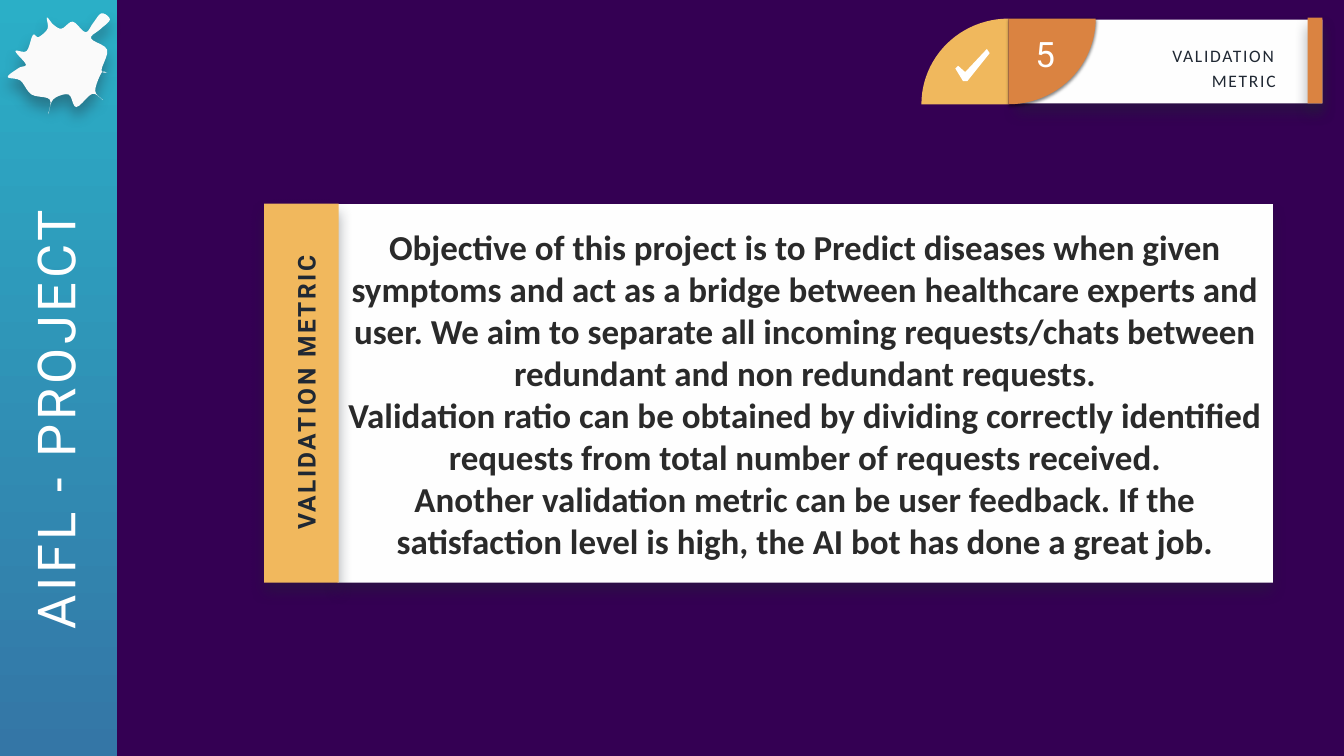
from math import cos, pi, sin

from lxml import etree
from pptx import Presentation
from pptx.dml.color import RGBColor
from pptx.enum.shapes import MSO_SHAPE
from pptx.enum.text import MSO_ANCHOR, MSO_AUTO_SIZE, PP_ALIGN
from pptx.oxml.ns import qn
from pptx.util import Pt

RECTANGLE = MSO_SHAPE.RECTANGLE
MIDDLE = MSO_ANCHOR.MIDDLE
NO_AUTOFIT = MSO_AUTO_SIZE.NONE
CENTER, RIGHT = PP_ALIGN.CENTER, PP_ALIGN.RIGHT

COLORS = {
    "background": "340053", "card": "FEFEFE", "yellow": "F0B85D",
    "yellow band": "F1B85D", "orange": "DA8341", "ink": "202833",
    "body": "2A2A2A", "white": "FFFFFF", "splash": "FAFAFA",
    "teal": "2BAFC7", "blue": "3476A6", "black": "000000",
}

# Content
HEADING = "VALIDATION METRIC"
NUMBER = "5"
PROJECT = "AIFL - PROJECT"
BODY = [
    "Objective of this project is to Predict diseases when given symptoms and act as a "
    "bridge between healthcare experts and user. We aim to separate all incoming "
    "requests/chats between redundant and non redundant requests.",
    "Validation ratio can be obtained by dividing correctly identified requests from "
    "total number of requests received.",
    "Another validation metric can be user feedback. If the satisfaction level is high, "
    "the AI bot has done a great job.",
]

# Shadows: colour, opacity %, blur, distance (points)
SOFT_SHADOW = ("ink", 39, 20, 12.8)
TIGHT_SHADOW = ("black", 50, 5, 2)

# Outlines in points
LEAF_CORNER, LEAF_RADII = (1441, 149), (124.5, 122.4)
LEAF_MIDDLE = 87.8
CHECK = [(1410, 70), (1379, 103), (1369, 94), (1365, 98), (1376, 116), (1382, 116), (1414, 76)]
SPLASH = [
    (145, 19), (133, 33), (122, 46), (104, 31), (88, 41), (76, 35), (67, 25), (68, 41),
    (55, 53), (47, 50), (38, 73), (22, 73), (37, 92), (27, 97), (11, 110), (29, 115),
    (45, 135), (71, 142), (69, 163), (76, 142), (98, 135), (109, 153), (132, 134),
    (147, 143), (136, 130), (145, 104), (153, 104), (145, 100), (153, 71), (130, 55),
    (143, 42), (157, 28),
]
SPLASH_STEPS = 5


def color(name):
    return RGBColor.from_string(COLORS[name])


def place(shape, box):
    shape.left, shape.top, shape.width, shape.height = (Pt(value) for value in box)


def paint(shape, fill, shadow=None):
    shape.shadow.inherit = False
    shape.line.fill.background()
    if fill:
        shape.fill.solid()
        shape.fill.fore_color.rgb = color(fill)
    if shadow:
        name, opacity, blur, distance = shadow
        effects = shape._element.spPr.find(qn("a:effectLst"))
        outer = etree.SubElement(effects, qn("a:outerShdw"), blurRad=str(Pt(blur)),
                                 dist=str(Pt(distance)), dir="5400000",
                                 algn="t", rotWithShape="0")
        tint = etree.SubElement(outer, qn("a:srgbClr"), val=COLORS[name])
        etree.SubElement(tint, qn("a:alpha"), val=str(opacity * 1000))


def add_box(slide, box, fill, shadow=None):
    shape = slide.shapes.add_shape(RECTANGLE, *(Pt(value) for value in box))
    paint(shape, fill, shadow)
    return shape


def quarter_disc(corner, radii, steps=24):
    """A corner and the arc from its left to its top."""
    (x, y), (width, height) = corner, radii
    angles = [pi / 2 * step / steps for step in range(steps + 1)]
    return [corner] + [(x - width * cos(angle), y - height * sin(angle)) for angle in angles]


def smooth(points, steps):
    """A closed Catmull-Rom curve through the points."""
    def blend(a, b, c, d, t):
        return b + t / 2 * (c - a + t * (2 * a - 5 * b + 4 * c - d
                                         + t * (3 * (b - c) + d - a)))

    count = len(points)
    curve = []
    for index in range(count):
        corners = [points[(index + offset) % count] for offset in (-1, 0, 1, 2)]
        xs, ys = zip(*corners)
        curve += [(blend(*xs, step / steps), blend(*ys, step / steps))
                  for step in range(steps)]
    return curve


def add_outline(slide, points, fill, shadow=None):
    points = [(Pt(x), Pt(y)) for x, y in points]
    builder = slide.shapes.build_freeform(*points[0])
    builder.add_line_segments(points[1:], close=True)
    paint(builder.convert_to_shape(), fill, shadow)


def write(shape, text, size, font, ink, align=CENTER, spacing=1.0, tracking=0,
          bold=False, wrap=True):
    frame = shape.text_frame
    frame.text = text
    frame.auto_size, frame.word_wrap = NO_AUTOFIT, wrap
    frame.vertical_anchor = MIDDLE
    frame.margin_left = frame.margin_right = Pt(4)
    frame.margin_top = frame.margin_bottom = Pt(4)
    for paragraph in frame.paragraphs:
        paragraph.alignment, paragraph.line_spacing = align, spacing
        paragraph.space_before = Pt(0)
        for run in paragraph.runs:
            run.font.size, run.font.name, run.font.bold = Pt(size), font, bold
            run.font.color.rgb = color(ink)
            run.font._element.set("spc", str(round(tracking * 100)))


def add_label(slide, box, text, rotation=0, **style):
    label = slide.shapes.add_textbox(*(Pt(value) for value in box))
    label.rotation = rotation
    write(label, text, font="Roboto", **style)


def main():
    presentation = Presentation()
    presentation.slide_width, presentation.slide_height = Pt(1920.24), Pt(1080)
    slide = presentation.slides.add_slide(presentation.slide_layouts[1])
    slide.background.fill.solid()
    slide.background.fill.fore_color.rgb = color("background")
    title, body = slide.placeholders

    # Body card
    place(body, (482.4, 291.6, 1336.32, 540.72))
    paint(body, "card", SOFT_SHADOW)
    write(body, "\n".join(BODY), 50, "Calibri", "body", bold=True)
    for paragraph in body.text_frame.paragraphs:
        properties = paragraph._p.get_or_add_pPr()
        properties.set("marL", "0")
        properties.set("indent", "0")
        etree.SubElement(properties, qn("a:buNone"))
    add_box(slide, (377.28, 290.88, 106.56, 541.44), "yellow band", SOFT_SHADOW)
    add_label(slide, (212.4, 536.4, 436.32, 49.68), HEADING, 270,
              size=35, ink="ink", spacing=1.3, tracking=3.5, bold=True)

    # Numbered header: the second leaf is the first one turned by half
    add_box(slide, (1452.96, 28.08, 436.32, 119.52), "card", SOFT_SHADOW)
    add_box(slide, (1868.4, 25.2, 20.88, 122.4), "orange", SOFT_SHADOW)
    leaf = quarter_disc(LEAF_CORNER, LEAF_RADII)
    turned = [(2 * LEAF_CORNER[0] - x, 2 * LEAF_MIDDLE - y) for x, y in leaf]
    add_outline(slide, leaf, "yellow")
    add_outline(slide, turned, "orange", TIGHT_SHADOW)
    add_outline(slide, CHECK, "white")
    add_label(slide, (1472.4, 46.08, 41.76, 67.68), NUMBER,
              size=50, ink="white", spacing=0.9, tracking=5, wrap=False)
    place(title, (1635.84, 58.32, 190.8, 72))
    write(title, HEADING, 25, "Calibri", "ink", RIGHT, 1.2, 2.5)
    slide.shapes._spTree.append(title._element)

    # Project sidebar
    sidebar = add_box(slide, (0, -5.76, 167.04, 1085.76), None)
    sidebar.fill.gradient()
    sidebar.fill.gradient_angle = 270
    for stop, name in zip(sidebar.fill.gradient_stops, ("teal", "blue")):
        stop.color.rgb = color(name)
    add_label(slide, (-325.44, 550.8, 817.92, 97.92), PROJECT, 270,
              size=75, ink="white", spacing=0.9, tracking=5.2)
    add_outline(slide, smooth(SPLASH, SPLASH_STEPS), "splash", SOFT_SHADOW)

    presentation.save("out.pptx")


if __name__ == "__main__":
    main()
